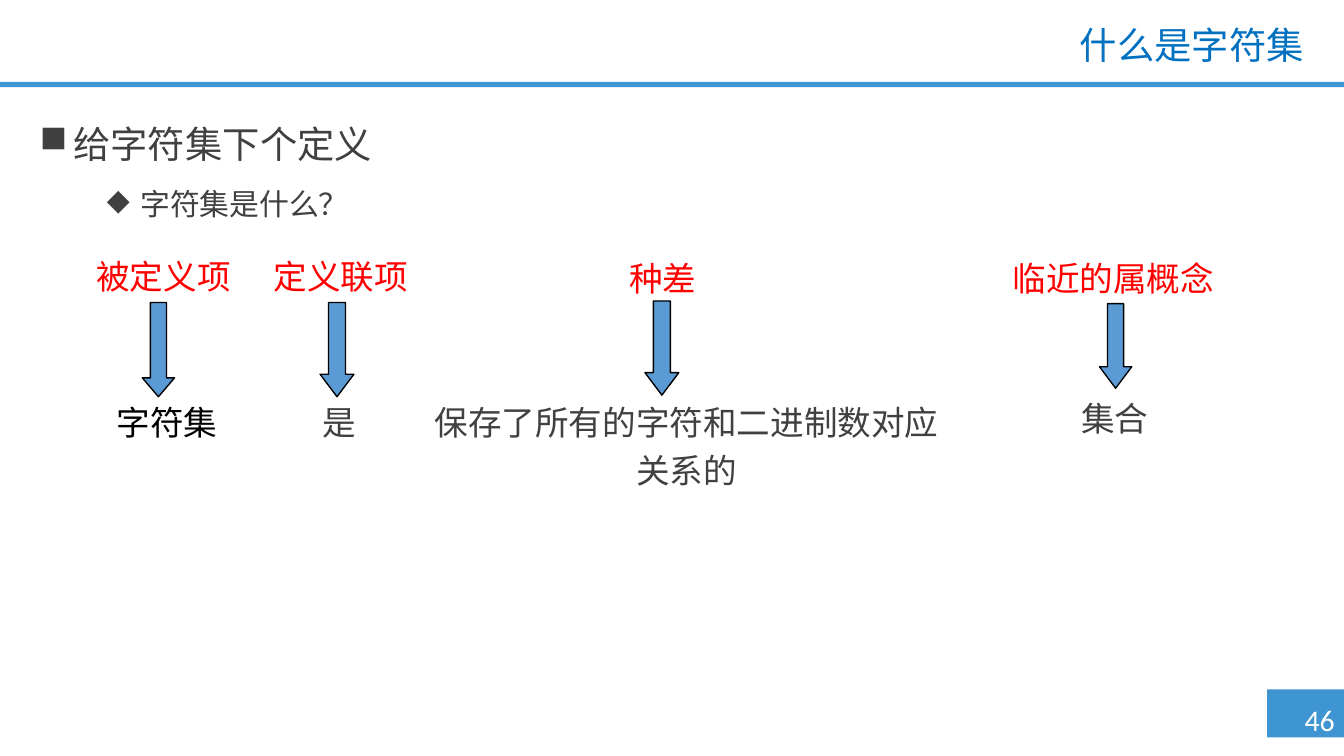
from lxml.etree import SubElement
from pptx import Presentation
from pptx.dml.color import RGBColor
from pptx.enum.lang import MSO_LANGUAGE_ID as Lang
from pptx.enum.shapes import MSO_SHAPE as Shape
from pptx.enum.text import MSO_ANCHOR as Anchor, PP_ALIGN as Align
from pptx.oxml.ns import qn
from pptx.util import Cm, Pt

BAND_BLUE = RGBColor(0x3F, 0x95, 0xD2)
TITLE_BLUE = RGBColor(0x00, 0x70, 0xC0)
ARROW_BLUE = RGBColor(0x5B, 0x9B, 0xD5)
GREY = RGBColor(0x40, 0x40, 0x40)
RED = RGBColor(0xFF, 0x00, 0x00)
BLACK = RGBColor(0x00, 0x00, 0x00)
WHITE = RGBColor(0xFF, 0xFF, 0xFF)
NOTO = "Noto Sans CJK SC"


def write(paragraph, text, size, face, color, align=Align.CENTER):
    run = paragraph.add_run()
    run.text = text
    run.font.language_id = Lang.SIMPLIFIED_CHINESE
    paragraph.alignment = align
    paragraph.font.size = Pt(size)
    paragraph.font.name = face
    paragraph.font.color.rgb = color


def add_text_frame(left, top, width, height):
    frame = slide.shapes.add_textbox(Cm(left), Cm(top), Cm(width), Cm(height)).text_frame
    frame.word_wrap = True
    return frame


prs = Presentation()
prs.slide_width, prs.slide_height = Cm(25.4), Cm(14.29)
slide = prs.slides.add_slide(prs.slide_layouts[5])

for left, top, width, height in [(23.95, 13.03, 1.45, 0.91), (0, 1.55, 25.4, 0.1)]:
    band = slide.shapes.add_shape(Shape.RECTANGLE, Cm(left), Cm(top), Cm(width), Cm(height))
    band.shadow.inherit = False
    band.fill.solid()
    band.fill.fore_color.rgb = BAND_BLUE
    band.line.fill.background()

page_number = add_text_frame(24.28, 13.13, 1.32, 0.94)
page_number.word_wrap = False
write(page_number.paragraphs[0], "46", 16, "Calibri", WHITE)

title = slide.shapes.title
title.left, title.top, title.width, title.height = Cm(6.1), Cm(0.38), Cm(18.8), Cm(1.04)
title.text_frame.vertical_anchor = Anchor.MIDDLE
heading = title.text_frame.paragraphs[0]
heading.line_spacing = 0.9
write(heading, "什么是字符集", 20, "Lato", TITLE_BLUE, Align.RIGHT)

outline = add_text_frame(0.5, 2.13, 24, 10.39)
points = [("给字符集下个定义", "■", 20, 0.25), ("字符集是什么？", "◆", 16, 0.75)]
for level, (text, bullet, size, margin) in enumerate(points):
    point = outline.add_paragraph() if level else outline.paragraphs[0]
    point.level = level
    point.line_spacing = Pt(25)
    if level:
        point.space_before = Pt(5)
    properties = point._p.get_or_add_pPr()
    properties.set("marL", str(Cm(margin * 2.54)))
    properties.set("indent", str(-Cm(0.25 * 2.54)))
    SubElement(properties, qn("a:buChar")).set("char", bullet)
    write(point, text, size, NOTO, GREY, Align.LEFT)

parts = [
    ("被定义项", (0.51, 4.72, 5.16), (2.69, 5.72, 0.61, 1.78), 0.585,
     "字符集", (1.3, 7.47, 3.71), "Arial", BLACK, 1),
    ("定义联项", (4.47, 4.72, 3.94), (6.05, 5.72, 0.64, 1.78), 0.665,
     "是", (5, 7.47, 2.84), NOTO, GREY, 1),
    ("种差", (11.38, 4.75, 2.29), (12.19, 5.69, 0.64, 1.78), 0.665,
     "保存了所有的字符和二进制数对应关系的", (7.82, 7.32, 10.31), "Arial", GREY, 1.2),
    ("临近的属概念", (18.21, 4.75, 5.66), (20.78, 5.74, 0.61, 1.6), 0.667,
     "集合", (18.39, 7.39, 5.36), NOTO, GREY, 1),
]
for term, term_at, arrow_at, head, wording, wording_at, face, color, spacing in parts:
    write(add_text_frame(*term_at, 1.02).paragraphs[0], term, 18, NOTO, RED)

    arrow = slide.shapes.add_shape(Shape.DOWN_ARROW, *map(Cm, arrow_at))
    arrow.adjustments[1] = head
    arrow.shadow.inherit = False
    arrow.fill.solid()
    arrow.fill.fore_color.rgb = ARROW_BLUE
    arrow.line.color.rgb = BLACK
    arrow.line.width = Pt(0.75)

    definition = add_text_frame(*wording_at, 1.02 * spacing).paragraphs[0]
    definition.line_spacing = spacing
    write(definition, wording, 18, face, color)

prs.save("out.pptx")
